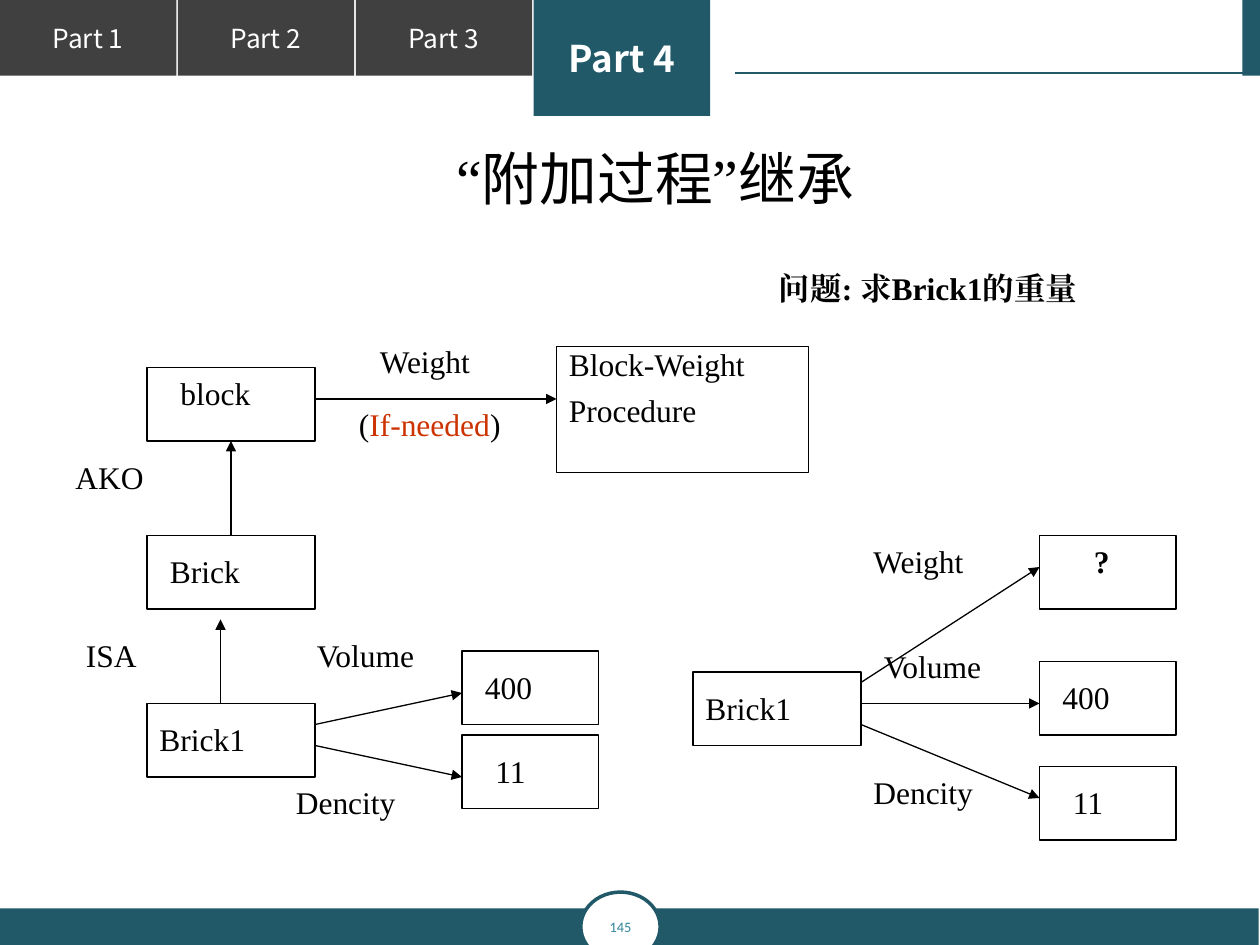
from pptx import Presentation
from pptx.dml.color import RGBColor
from pptx.enum.shapes import MSO_CONNECTOR, MSO_SHAPE
from pptx.enum.text import MSO_ANCHOR, PP_ALIGN
from pptx.oxml.ns import qn
from pptx.util import Inches, Pt
from lxml import etree

RECT, OVAL = MSO_SHAPE.RECTANGLE, MSO_SHAPE.OVAL
LINE = MSO_CONNECTOR.STRAIGHT
MID, TOP = MSO_ANCHOR.MIDDLE, MSO_ANCHOR.TOP
MIDST, LEFT = PP_ALIGN.CENTER, PP_ALIGN.LEFT

HUES = {"ink": "000000", "white": "FFFFFF", "gray": "404040",
        "teal": "215968", "aqua": "31859C", "red": "CC3300"}
SANS, SERIF, PLAIN = "Noto Sans CJK SC", "Times New Roman", "Calibri"

WIDE, HIGH = 10, 7.5
COLS, ROWS = 120, 90
CELL_W, CELL_H = WIDE / COLS, HIGH / ROWS
BODY = {"name": SERIF, "size": Pt(18)}
BOLD = {**BODY, "bold": True}

TABS = ["Part 1", "Part 2", "Part 3", "Part 4"]
HEAD = [("“", SERIF), ("附加过程", PLAIN), ("”", SERIF), ("继承", PLAIN)]

BOXES = [
    (14, 35, 16, 7), (14, 51, 16, 7), (14, 67, 16, 7),
    (53, 33, 24, 12), (44, 62, 13, 7), (44, 70, 13, 7),
    (66, 64, 16, 7), (99, 51, 13, 7), (99, 63, 13, 7), (99, 73, 13, 7),
]
WORDS = [
    (16, 35, 12, "block"), (15, 52, 15, "Brick"), (14, 68, 15, "Brick1"),
    (7, 60, 10, "ISA"), (6, 43, 13, "AKO"), (35, 32, 17, "Weight"),
    (27, 74, 18, "Dencity"), (29, 60, 18, "Volume"),
    (45, 63, 10, "400"), (46, 71, 10, "11"),
    (66, 65, 15, "Brick1"), (82, 73, 18, "Dencity"),
    (83, 61, 18, "Volume"), (82, 51, 17, "Weight"),
    (100, 64, 10, "400"), (101, 74, 10, "11"),
]
STRONG = [(73, 25, 42, "问题: 求Brick1的重量"), (103, 51, 7, "?")]
NEED = [("(", "ink"), ("If-needed", "red"), (")", "ink")]
STEPS = ["Block-Weight", "Procedure"]
ARROWS = [
    (22, 51, 22, 42), (21, 67, 21, 59), (30, 38, 53, 38),
    (30, 69, 44, 66), (30, 71, 44, 74),
    (82, 65, 99, 54), (82, 67, 99, 67), (82, 69, 99, 76),
]

deck = Presentation()
deck.slide_width, deck.slide_height = Inches(WIDE), Inches(HIGH)
page = deck.slides.add_slide(deck.slide_layouts[6])


def hue(name):
    return RGBColor.from_string(HUES[name])


def grid(x, y, w, h):
    return x * CELL_W, y * CELL_H, w * CELL_W, h * CELL_H


def write(shape, lines, look, align=LEFT, anchor=TOP, **space):
    frame = shape.text_frame
    frame.word_wrap, frame.vertical_anchor = True, anchor
    for i, runs in enumerate(lines):
        para = frame.paragraphs[0] if i == 0 else frame.add_paragraph()
        para.alignment = align
        if "line" in space:
            para.line_spacing = space["line"]
        if i:
            para.space_before = Pt(space["gap"])
        for text, tint, extra in runs:
            run = para.add_run()
            run.text = text
            font = {**look, **extra}
            for key, val in font.items():
                setattr(run.font, key, val)
            run.font.color.rgb = hue(tint)
            east = etree.SubElement(run.font._element, qn("a:ea"))
            east.set("typeface", font["name"])


def shape(kind, spot, fill=None, edge=None, width=0.75):
    item = page.shapes.add_shape(kind, *map(Inches, spot))
    item.shadow.inherit = False
    if fill:
        item.fill.solid()
        item.fill.fore_color.rgb = hue(fill)
    else:
        item.fill.background()
    if edge:
        item.line.color.rgb = hue(edge)
        item.line.width = Pt(width)
    else:
        item.line.fill.background()
    return item


def label(spot, lines, look=BODY, **form):
    box = page.shapes.add_textbox(*map(Inches, spot))
    write(box, lines, look, **form)


def link(spot, tint, tip=False):
    item = page.shapes.add_connector(LINE, *map(Inches, spot))
    item.line.color.rgb = hue(tint)
    item.line.width = Pt(0.75)
    if tip:
        end = etree.SubElement(item.line._get_or_add_ln(), qn("a:tailEnd"))
        end.set("type", "triangle")
    etree.SubElement(item._element.spPr, qn("a:effectLst"))


for i, text in enumerate(TABS):
    live = i == len(TABS) - 1
    tab = shape(RECT, (i * 1.412, 0, 1.4, 0.92 if live else 0.6),
                "teal" if live else "gray")
    look = {"name": SANS, "size": Pt(21 if live else 15), "bold": live}
    write(tab, [[(text, "white", {})]], look, MIDST, MID)

shape(RECT, (9.86, 0, 0.15, 0.6), "teal")
shape(RECT, (0, 7.21, 9.99, 0.29), "teal")
badge = shape(OVAL, (4.61, 7.08, 0.63, 0.55), "white", "teal", 2)
write(badge, [[("145", "aqua", {})]], {"name": PLAIN, "size": Pt(8.2)},
      MIDST, MID)
link((9.93, 0.58, 5.83, 0.58), "teal")

label((0.94, 1.08, 8.52, 1.25),
      [[(text, "ink", {"name": face}) for text, face in HEAD]],
      {"size": Pt(33)}, align=MIDST)

for spot in BOXES:
    shape(RECT, grid(*spot), edge="ink")
for spot in ARROWS:
    link(grid(*spot), "ink", True)
for look, group in ((BODY, WORDS), (BOLD, STRONG)):
    for x, y, w, text in group:
        label(grid(x, y, w, 6), [[(text, "ink", {})]], look)
label(grid(33, 38, 21, 6), [[(text, tint, {}) for text, tint in NEED]])
label(grid(53, 33, 29, 11), [[(text, "ink", {})] for text in STEPS],
      line=0.8, gap=9)

deck.save("out.pptx")
